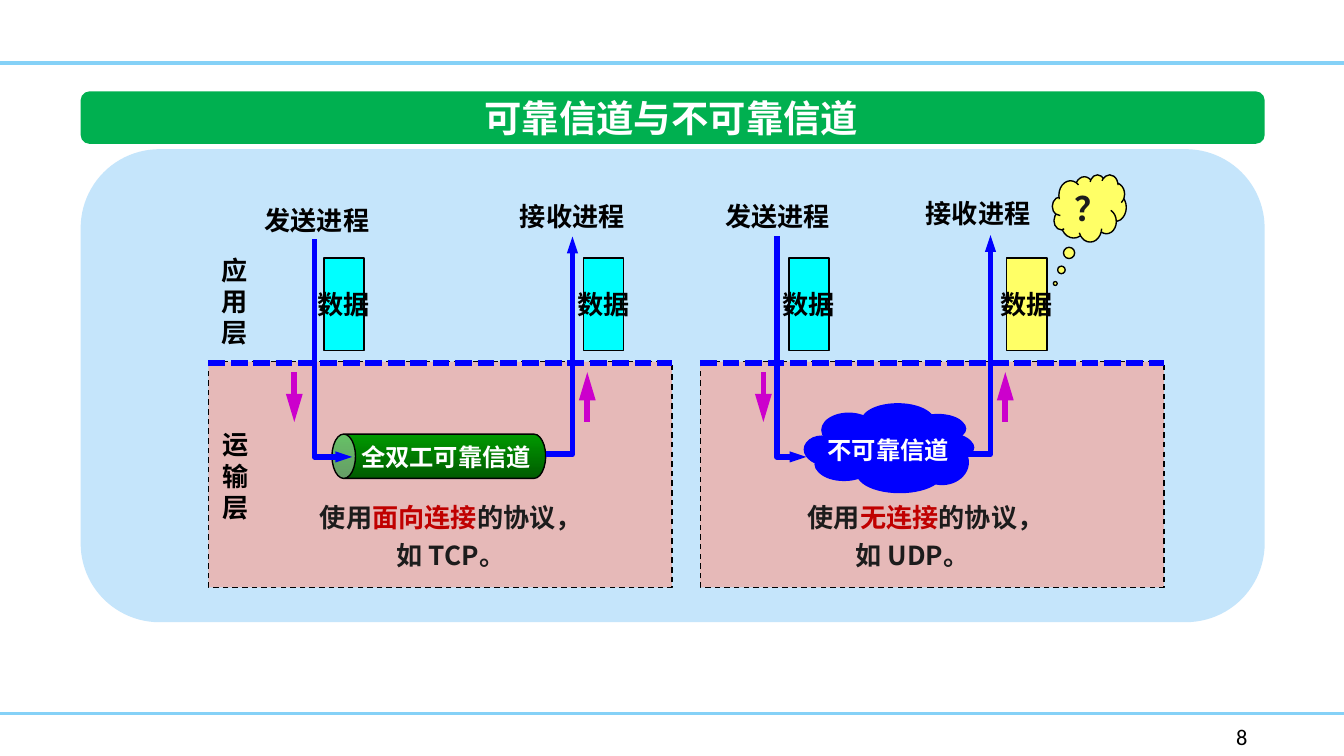
from dataclasses import dataclass

from lxml.etree import SubElement
from pptx import Presentation
from pptx.dml.color import RGBColor
from pptx.enum.dml import MSO_LINE as Dash
from pptx.enum.shapes import MSO_CONNECTOR as Connector, MSO_SHAPE as Shape
from pptx.enum.text import MSO_ANCHOR as Anchor, MSO_AUTO_SIZE as AutoSize, PP_ALIGN as Align
from pptx.oxml.ns import qn
from pptx.util import Inches, Pt

COLORS = {
    "rule": "85D1F7", "banner": "00B050", "backdrop": "C5E5FB", "panel": "E6B9B8",
    "blue": "0000FF", "magenta": "CC00CC", "cyan": "00FFFF", "yellow": "FFFF66",
    "black": "000000", "white": "FFFFFF", "dark": "1C1C1C", "red": "C00000",
    "pipe_dark": "005B00", "pipe_light": "009900",
}
CJK_FONT = "Noto Sans CJK SC"
PANEL_TOP, PANEL_WIDTH, PANEL_HEIGHT = 2.69, 3.45, 1.68
DATA_TOP, DATA_WIDTH, DATA_HEIGHT = 1.92, 0.3, 0.69
CLOUD_PUFFS = [
    (6.41, 3.0, 0.54, 0.26), (6.11, 3.07, 0.41, 0.26), (5.98, 3.24, 0.27, 0.21),
    (6.06, 3.34, 0.42, 0.23), (6.37, 3.38, 0.63, 0.28), (6.78, 3.08, 0.4, 0.2),
    (6.84, 3.22, 0.4, 0.2), (6.8, 3.26, 0.4, 0.34), (6.21, 3.16, 0.82, 0.34),
]


@dataclass
class Channel:
    """One panel: sender on the left, receiver on the right."""
    left: float
    sender_at: tuple[float, float]
    receiver_at: tuple[float, float]
    send_path: list[tuple[float, float]]
    receive_path: list[tuple[float, float]]
    down_arrow: float
    up_arrow: float
    data: list[tuple[float, str]]
    note_left: float
    note_width: float
    kind: str
    protocol: str


CHANNELS = [
    Channel(1.55, (1.87, 1.47), (3.77, 1.44),
            [(2.34, 1.78), (2.34, 3.4), (2.62, 3.4)],
            [(4.06, 3.38), (4.26, 3.38), (4.26, 1.76)],
            2.19, 4.37, [(2.41, "cyan"), (4.34, "cyan")],
            2.28, 2.15, "面向连接", "TCP"),
    Channel(5.21, (5.3, 1.44), (6.79, 1.42),
            [(5.78, 1.76), (5.78, 3.4), (6, 3.4)],
            [(7.14, 3.38), (7.37, 3.38), (7.37, 1.75)],
            5.68, 7.48, [(5.87, "cyan"), (7.49, "yellow")],
            5.82, 1.94, "无连接", "UDP"),
]


def rgb(name: str) -> RGBColor:
    return RGBColor.from_string(COLORS[name])


def style_line(line, color: str, width: float, dash=None) -> None:
    line.color.rgb = rgb(color)
    for key, value in {"width": Pt(width), "dash_style": dash}.items():
        setattr(line, key, value)


def add_arrowhead(item, width: str, length: str) -> None:
    outline = item.element.spPr.find(qn("a:ln"))
    SubElement(outline, qn("a:tailEnd"), type="triangle", w=width, len=length)


def add_box(shapes, kind, at: tuple, fill: str | None, outline: str | None = None, dash=None):
    box = shapes.add_shape(kind, *map(Inches, at))
    box.shadow.inherit = False
    if fill:
        box.fill.solid()
        box.fill.fore_color.rgb = rgb(fill)
    if outline:
        style_line(box.line, outline, 0.75, dash)
    else:
        box.line.fill.background()
    return box


def add_line(shapes, start: tuple, end: tuple, color: str, width: float, dash=None):
    line = shapes.add_connector(Connector.STRAIGHT, *map(Inches, start + end))
    style_line(line.line, color, width, dash)
    SubElement(line.element.spPr, qn("a:effectLst"))
    return line


def add_path(shapes, points: list) -> None:
    """Draw an open bent line with an arrowhead at its last point."""
    corners = [(Inches(x), Inches(y)) for x, y in points]
    builder = shapes.build_freeform(*corners[0])
    builder.add_line_segments(corners[1:], close=False)
    route = builder.convert_to_shape()
    route.shadow.inherit = False
    route.fill.background()
    style_line(route.line, "blue", 3)
    add_arrowhead(route, "sm", "med")


def add_span(para, text: str, size: float, color: str, font: str = CJK_FONT, bold: bool = True) -> None:
    span = para.add_run()
    span.text = text
    for key, value in {"size": Pt(size), "bold": bold, "name": font}.items():
        setattr(span.font, key, value)
    span.font.color.rgb = rgb(color)
    SubElement(span.font._element, qn("a:ea"), typeface=CJK_FONT)


def add_text(shapes, at: tuple, lines: list, size: float, color: str = "black", wrap: bool = True,
             leading: float = 1.2, align=Align.LEFT, **font) -> None:
    """Each line is a list of (text, color) spans, or a plain string."""
    frame = shapes.add_textbox(*map(Inches, at)).text_frame
    for key, value in {"word_wrap": wrap, "auto_size": AutoSize.SHAPE_TO_FIT_TEXT}.items():
        setattr(frame, key, value)
    for index, line in enumerate(lines):
        para = frame.add_paragraph() if index else frame.paragraphs[0]
        for key, value in {"alignment": align, "line_spacing": Pt(round(size * leading, 1))}.items():
            setattr(para, key, value)
        for text, span_color in [(line, color)] if isinstance(line, str) else line:
            add_span(para, text, size, span_color, **font)


def add_data(shapes, left: float, fill: str) -> None:
    box = add_box(shapes, Shape.RECTANGLE, (left, DATA_TOP, DATA_WIDTH, DATA_HEIGHT), fill, "black")
    frame = box.text_frame
    for key, value in {"word_wrap": False, "vertical_anchor": Anchor.MIDDLE}.items():
        setattr(frame, key, value)
    box.element.txBody.bodyPr.set("vert", "wordArtVertRtl")
    frame.paragraphs[0].alignment = Align.CENTER
    add_span(frame.paragraphs[0], "数据", 14, "black")


def add_pipe(shapes) -> None:
    pipe = add_box(shapes, Shape.CAN, (3.1, 2.6, 0.33, 1.59), None, "black")
    pipe.rotation = 270
    pipe.adjustments[0] = 0.53
    pipe.fill.gradient()
    pipe.fill.gradient_angle = 0
    for stop, color in zip(pipe.fill.gradient_stops, ("pipe_dark", "pipe_light")):
        stop.color.rgb = rgb(color)
    add_text(shapes, (2.59, 3.24, 1.48, 0.32), ["全双工可靠信道"], 13, "white", wrap=False)


def add_cloud(shapes) -> None:
    group = shapes.add_group_shape()
    for offset in (0.01, 0):
        for left, top, width, height in CLOUD_PUFFS:
            add_box(group.shapes, Shape.OVAL, (left + offset, top + offset, width, height), "blue")
    add_text(shapes, (6.06, 3.19, 1.11, 0.32), ["不可靠信道"], 13, "white", wrap=False)


def add_channel(shapes, channel: Channel) -> None:
    for left, fill in channel.data:
        add_data(shapes, left, fill)
    add_text(shapes, (*channel.sender_at, 1.1, 0.34), ["发送进程"], 14)
    add_text(shapes, (*channel.receiver_at, 1.1, 0.34), ["接收进程"], 14)
    note = [("使用", "dark"), (channel.kind, "red"), (f"的协议，如 {channel.protocol}。", "dark")]
    add_text(shapes, (channel.note_left, 3.64, channel.note_width, 0.66), [note], 14,
             leading=20 / 14, align=Align.CENTER)
    for x, start, end in ((channel.down_arrow, 2.77, 3.14), (channel.up_arrow, 3.14, 2.77)):
        arrow = add_line(shapes, (x, start), (x, end), "magenta", 3)
        add_arrowhead(arrow, "med", "lg")
    add_path(shapes, channel.receive_path)
    add_path(shapes, channel.send_path)


def main() -> None:
    deck = Presentation()
    deck.slide_width, deck.slide_height = Inches(10), Inches(10) * 9 // 16
    shapes = deck.slides.add_slide(deck.slide_layouts[6]).shapes

    for y in (0.47, 5.31):
        add_line(shapes, (0, y), (10, y), "rule", 2)
    add_box(shapes, Shape.ROUNDED_RECTANGLE, (0.6, 0.68, 8.81, 0.39), "banner")
    add_text(shapes, (3.49, 0.66, 3.01, 0.44), ["可靠信道与不可靠信道"], 20, "white",
             wrap=False, align=Align.CENTER, font="Calibri")
    add_box(shapes, Shape.ROUNDED_RECTANGLE, (0.6, 1.11, 8.81, 3.52), "backdrop")

    for channel in CHANNELS:
        add_box(shapes, Shape.RECTANGLE, (channel.left, PANEL_TOP, PANEL_WIDTH, PANEL_HEIGHT),
                "panel", "black", Dash.DASH)
        add_line(shapes, (channel.left, 2.7), (channel.left + PANEL_WIDTH, 2.7), "blue", 3, Dash.SQUARE_DOT)
    for layer, left, top in (("应用层", 1.55, 1.84), ("运输层", 1.56, 3.14)):
        add_text(shapes, (left, top, 0.4, 0.81), list(layer), 14, wrap=False)

    add_pipe(shapes)
    for channel in CHANNELS:
        add_channel(shapes, channel)
    add_cloud(shapes)

    thought = add_box(shapes, Shape.CLOUD_CALLOUT, (7.83, 1.3, 0.55, 0.5), "yellow", "black")
    thought.adjustments[0], thought.adjustments[1] = -0.46, 1.12
    add_text(shapes, (7.9, 1.35, 0.29, 0.4), ["？"], 18, "dark")
    add_text(shapes, (9.1, 5.33, 0.76, 0.3), ["8"], 12, font="Calibri", bold=False)
    deck.save("out.pptx")


if __name__ == "__main__":
    main()
